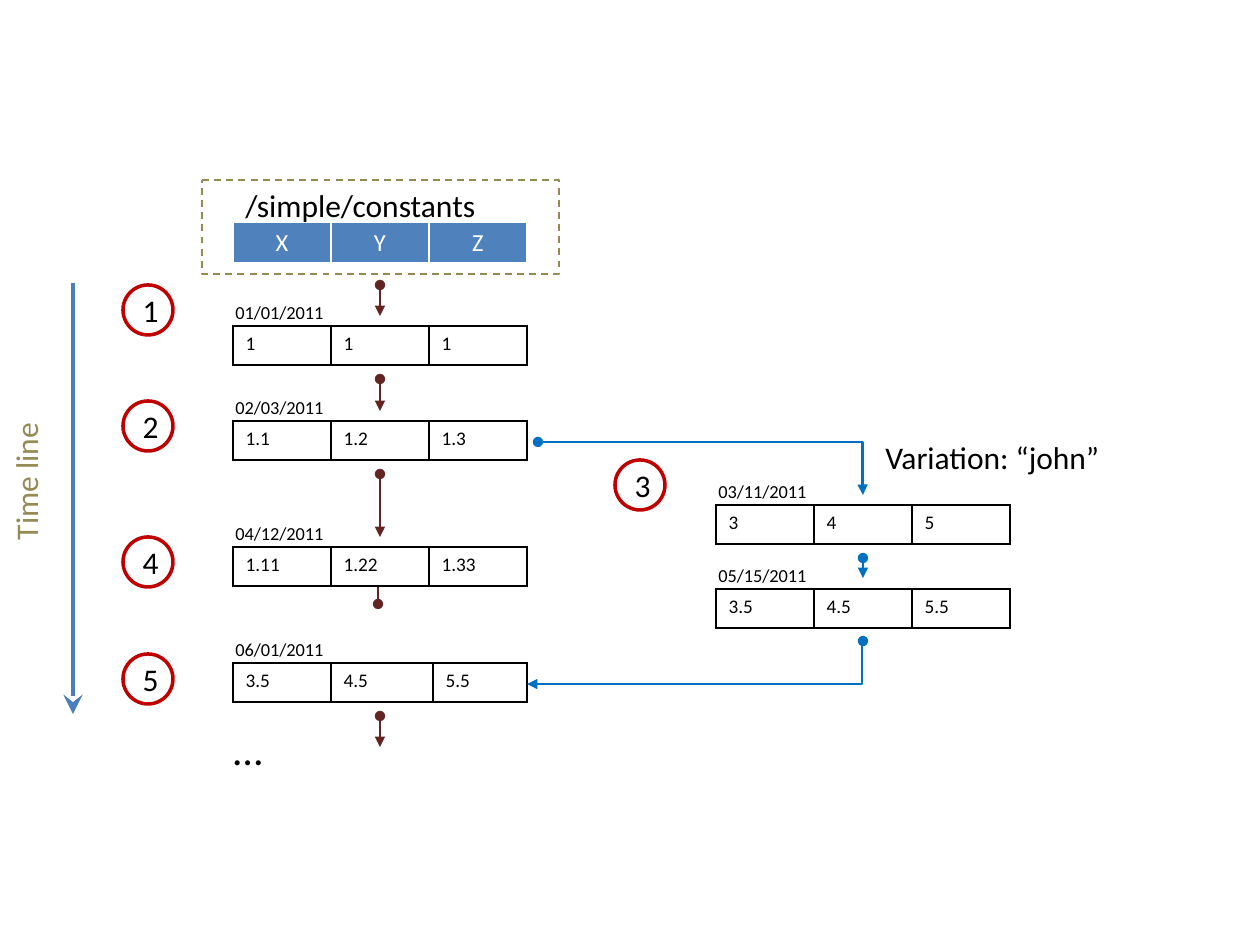
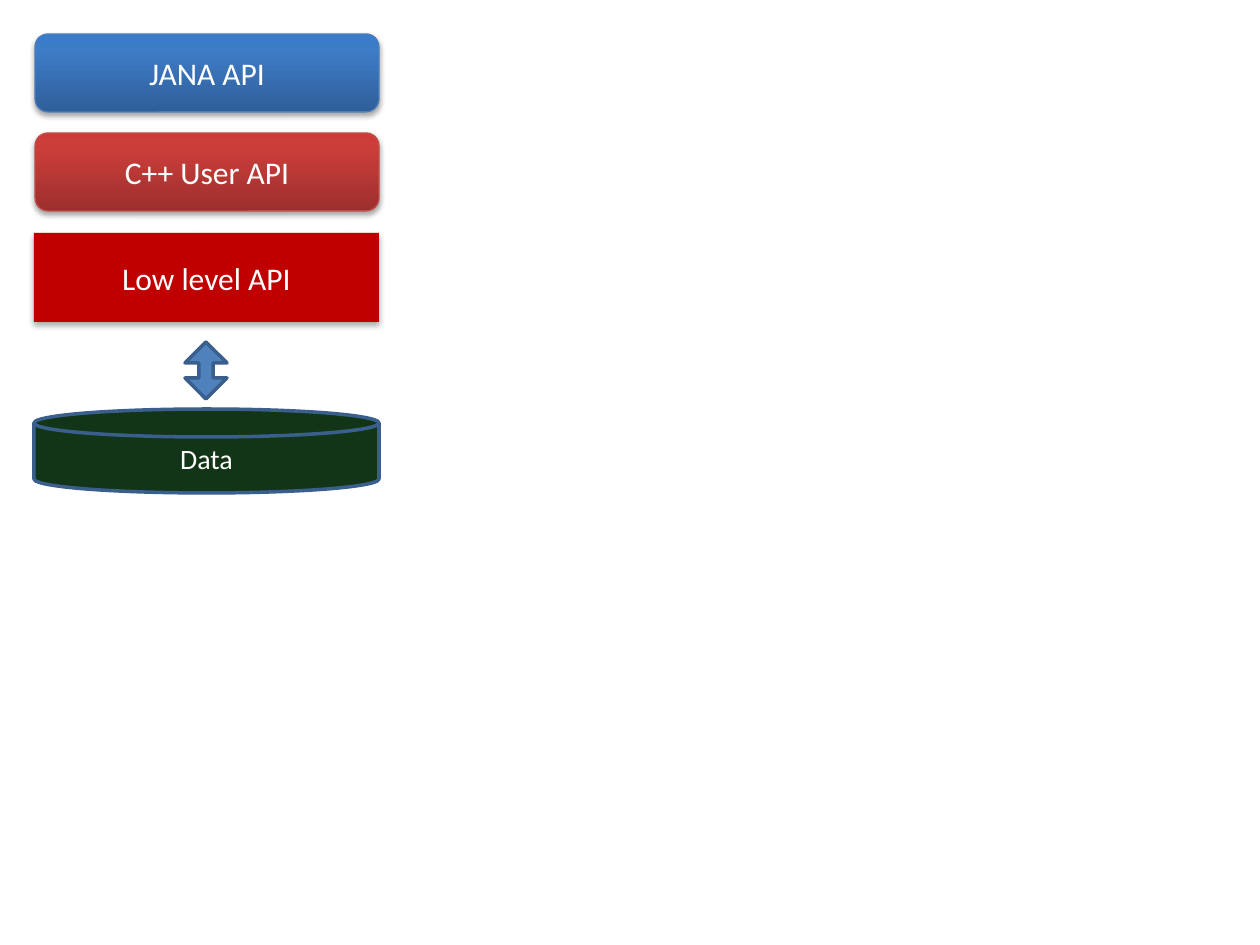
"""Build two slides: a timeline of versioned constants and a stack of API layers."""
from lxml.etree import SubElement
from pptx import Presentation
from pptx.dml.color import RGBColor
from pptx.enum.dml import MSO_LINE
from pptx.enum.shapes import MSO_CONNECTOR, MSO_SHAPE
from pptx.enum.text import MSO_ANCHOR, MSO_AUTO_SIZE, PP_ALIGN
from pptx.oxml import parse_xml
from pptx.oxml.ns import nsdecls, qn
from pptx.util import Emu, Pt

PIXEL = 914400 / 126
FONT = "Calibri"
BLACK = RGBColor(0x00, 0x00, 0x00)
WHITE = RGBColor(0xFF, 0xFF, 0xFF)
OLIVE = RGBColor(0x94, 0x8A, 0x54)
BLUE = RGBColor(0x4F, 0x81, 0xBD)
TIMELINE_BLUE = RGBColor(0x4B, 0x7E, 0xBC)
BORDER_BLUE = RGBColor(0x3A, 0x5F, 0x8C)
BRANCH_BLUE = RGBColor(0x00, 0x70, 0xC0)
MAROON = RGBColor(0x63, 0x25, 0x23)
RED = RGBColor(0xC0, 0x00, 0x00)
SOFT_RED = RGBColor(0xBF, 0x4C, 0x48)
DARK_GREEN = RGBColor(0x13, 0x35, 0x17)
RED_GRADIENT = [(0, "9C2F2D"), (80, "CB3E3A"), (100, "CE3B37")]
BLUE_GRADIENT = [(0, "2F5F99"), (80, "3D7CC7"), (100, "3A7CCB")]


def write(frame, text, size=18, color=BLACK, align=PP_ALIGN.LEFT, grow=False):
    if grow:
        frame.word_wrap = False
        frame.auto_size = MSO_AUTO_SIZE.SHAPE_TO_FIT_TEXT
    para = frame.paragraphs[0]
    para.alignment = align
    span = para.add_run()
    span.text = text
    span.font.name = FONT
    span.font.size = Pt(size)
    span.font.color.rgb = color


def connect(slide, points, color, width=1.5, head="oval", tail="triangle", size="med", bend=None):
    kind = MSO_CONNECTOR.STRAIGHT if bend is None else MSO_CONNECTOR.ELBOW
    line = slide.shapes.add_connector(kind, *[Emu(round(p * PIXEL)) for p in points])
    line.line.color.rgb = color
    line.line.width = Pt(width)
    properties = line._element.spPr
    if bend is not None:
        guides = properties.find(qn("a:prstGeom")).find(qn("a:avLst"))
        SubElement(guides, qn("a:gd"), name="adj1", fmla=f"val {bend}")
    for end, style in (("a:headEnd", head), ("a:tailEnd", tail)):
        if style:
            SubElement(line.line._get_or_add_ln(), qn(end), type=style, w=size, len=size)
    SubElement(properties, qn("a:effectLst"))


deck = Presentation()
deck.slide_width = Emu(round(1260 * PIXEL))
deck.slide_height = Emu(round(945 * PIXEL))
blank = deck.slide_layouts[6]

history = deck.slides.add_slide(blank)
frame_box = history.shapes.add_shape(
    MSO_SHAPE.FLOWCHART_PROCESS, *[Emu(round(v * PIXEL)) for v in (202, 180, 357, 94)])
frame_box.shadow.inherit = False
frame_box.fill.solid()
frame_box.fill.fore_color.rgb = WHITE
frame_box.line.color.rgb = OLIVE
frame_box.line.width = Pt(1)
frame_box.line.dash_style = MSO_LINE.DASH

THIRDS = (98, 98, 98)
tables = [
    (233, 222, 42, THIRDS, "X Y Z", None),
    (233, 326, 39, THIRDS, "1 1 1", "01/01/2011"),
    (233, 421, 39, THIRDS, "1.1 1.2 1.3", "02/03/2011"),
    (233, 547, 39, THIRDS, "1.11 1.22 1.33", "04/12/2011"),
    (233, 663, 39, (98, 102, 94), "3.5 4.5 5.5", "06/01/2011"),
    (716, 505, 39, THIRDS, "3 4 5", "03/11/2011"),
    (716, 589, 39, THIRDS, "3.5 4.5 5.5", "05/15/2011"),
]
labels = [
    (233, 180, 265, 50, "/simple/constants ", 18),
    (873, 432, 242, 50, "Variation: “john”", 18),
    (221, 717, 55, 63, "…", 24),
]
for left, top, height, widths, values, date in tables:
    is_header = date is None
    table = history.shapes.add_table(
        1, 3, *[Emu(round(v * PIXEL)) for v in (left, top, sum(widths), height)]).table
    table.first_row = False
    table.horz_banding = False
    for column, width in zip(table.columns, widths):
        column.width = Emu(round(width * PIXEL))
    for cell, value in zip(table.rows[0].cells, values.split()):
        for side in "LRTB":
            points = 3 if is_header and side == "B" else 1
            border = SubElement(
                cell._tc.get_or_add_tcPr(), qn(f"a:ln{side}"), w=str(Pt(points)))
            fill = SubElement(border, qn("a:solidFill"))
            SubElement(fill, qn("a:srgbClr"), val=str(WHITE if is_header else BLACK))
        if is_header:
            cell.fill.solid()
            cell.fill.fore_color.rgb = BLUE
            write(cell.text_frame, value, size=14, color=WHITE, align=PP_ALIGN.CENTER)
        else:
            cell.fill.background()
            write(cell.text_frame, value, size=11)
    if date:
        labels.append((left - 10, top - 31, 116, 35, date, 10.5))

for left, top, width, height, text, size in labels:
    box = history.shapes.add_textbox(
        *[Emu(round(v * PIXEL)) for v in (left, top, width, height)])
    write(box.text_frame, text, size=size, grow=True)

time_label = history.shapes.add_textbox(
    *[Emu(round(v * PIXEL)) for v in (-46, 456, 143, 50)])
time_label.rotation = 270
write(time_label.text_frame, "Time line", color=OLIVE, grow=True)
connect(history, (73, 283, 73, 714), TIMELINE_BLUE, 2.25, None, "stealth", "lg")

for start, end in ((285, 316), (379, 411), (474, 537), (716, 747)):
    connect(history, (380, start, 380, end), MAROON)
connect(history, (378, 587, 378, 604), MAROON, head=None, tail="oval")
connect(history, (863, 558, 863, 578), BRANCH_BLUE)
connect(history, (538, 442, 863, 495), BRANCH_BLUE, bend=99900)
connect(history, (863, 641, 527, 684), BRANCH_BLUE, bend=300)

steps = [(123, 285), (123, 401), (615, 460), (123, 537), (123, 654)]
for number, (left, top) in enumerate(steps, 1):
    circle = history.shapes.add_shape(
        MSO_SHAPE.OVAL, *[Emu(round(v * PIXEL)) for v in (left, top, 50, 50)])
    circle.shadow.inherit = False
    circle.fill.background()
    circle.line.color.rgb = RED
    circle.line.width = Pt(2)
    write(circle.text_frame, str(number), align=PP_ALIGN.CENTER)

layers = deck.slides.add_slide(blank)
SOFT_SHADOW = (35, 40000, 23000)
DEEP_SHADOW = (32, 44450, 27940)
ROUNDED = MSO_SHAPE.ROUNDED_RECTANGLE
parts = [
    (ROUNDED, (35, 34, 344, 78), BLUE_GRADIENT, TIMELINE_BLUE, 0.75, SOFT_SHADOW, "JANA API", 18),
    (ROUNDED, (35, 133, 344, 78), RED_GRADIENT, SOFT_RED, 0.75, SOFT_SHADOW, "C++ User API", 18),
    (MSO_SHAPE.RECTANGLE, (34, 233, 345, 89), RED, None, 0, DEEP_SHADOW, "Low level API", 18),
    (MSO_SHAPE.UP_DOWN_ARROW, (185, 342, 42, 57), BLUE, BORDER_BLUE, 2, None, None, 0),
    (MSO_SHAPE.FLOWCHART_MAGNETIC_DISK, (34, 409, 345, 84), DARK_GREEN, BORDER_BLUE, 2, None,
     "Data", 16),
]
for kind, place, fill, outline, width, shadow, text, size in parts:
    part = layers.shapes.add_shape(kind, *[Emu(round(v * PIXEL)) for v in place])
    part.shadow.inherit = False
    if isinstance(fill, list):
        part.fill.gradient()
        part.fill.gradient_angle = 90
        stops = part._element.spPr.find(qn("a:gradFill")).find(qn("a:gsLst"))
        stops.clear()
        for position, color in fill:
            stop = SubElement(stops, qn("a:gs"), pos=str(position * 1000))
            SubElement(stop, qn("a:srgbClr"), val=color)
    else:
        part.fill.solid()
        part.fill.fore_color.rgb = fill
    if outline:
        part.line.color.rgb = outline
        part.line.width = Pt(width)
    else:
        part.line.fill.background()
    if shadow:
        alpha, blur, distance = shadow
        part._element.spPr.find(qn("a:effectLst")).append(parse_xml(
            f'<a:outerShdw {nsdecls("a")} blurRad="{blur}" dist="{distance}" dir="5400000" '
            f'rotWithShape="0"><a:srgbClr val="000000"><a:alpha val="{alpha * 1000}"/>'
            '</a:srgbClr></a:outerShdw>'))
    if kind == MSO_SHAPE.UP_DOWN_ARROW:
        part.adjustments[0] = 0.41
        part.adjustments[1] = 0.34
    if text:
        part.text_frame.vertical_anchor = MSO_ANCHOR.MIDDLE
        write(part.text_frame, text, size=size, color=WHITE, align=PP_ALIGN.CENTER)

deck.save("out.pptx")
